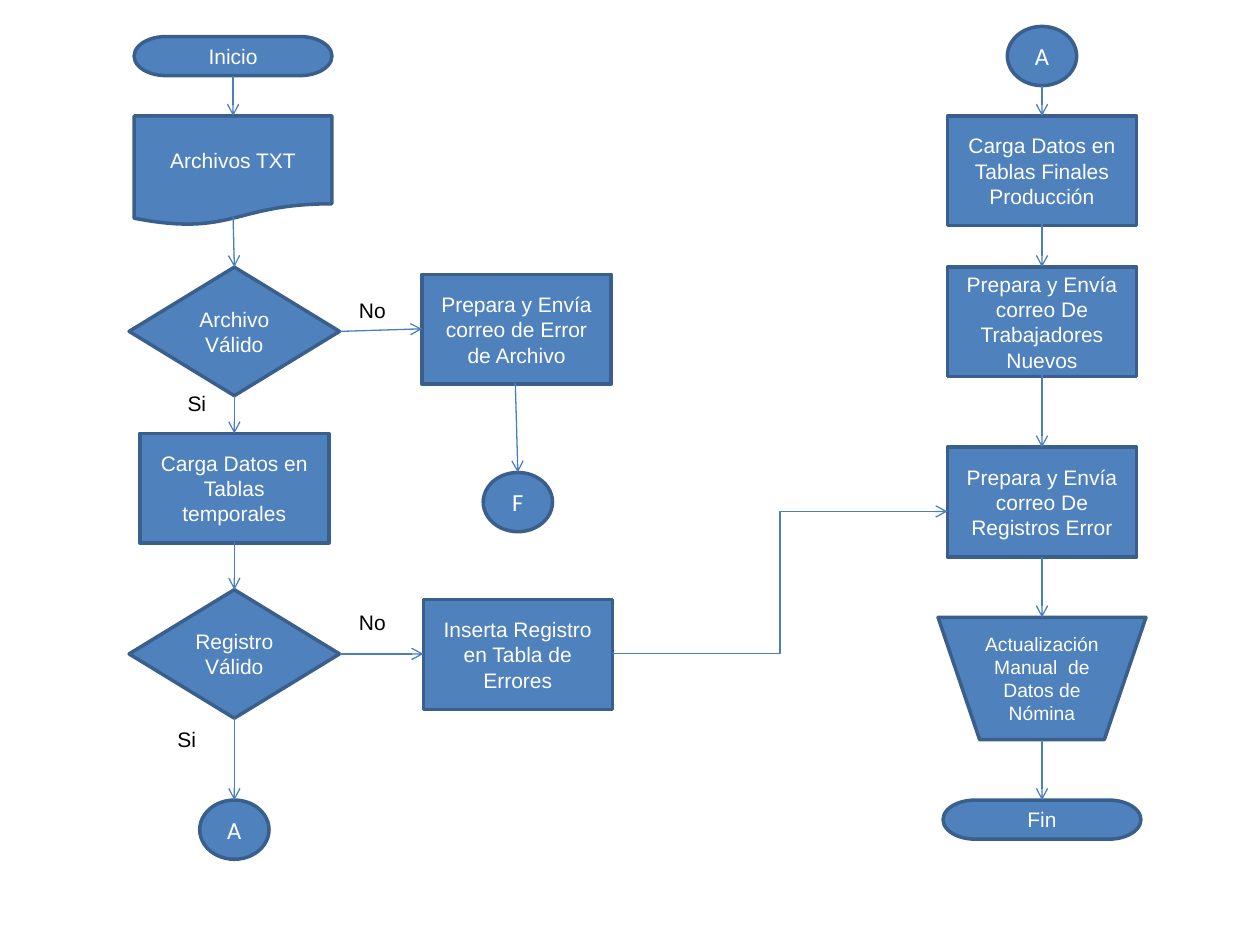
from typing import NamedTuple

from lxml import etree
from pptx import Presentation
from pptx import util as u
from pptx.dml.color import RGBColor
from pptx.enum import shapes, text
from pptx.oxml import ns

COLORS = {"fill": "4F81BD", "edge": "3A5F8C", "arrow": "4B7EBC",
          "light": "FFFFFF", "dark": "000000"}
LEFT, MID, RIGHT = 1.86, 4.11, 8.27  # column centres
FORM = shapes.MSO_SHAPE


class Kind(NamedTuple):
    form: shapes.MSO_SHAPE
    wide: float
    high: float
    size: int = 12
    font: str = "Arial"
    inset: float = 0.1


END = Kind(FORM.FLOWCHART_TERMINATOR, 1.57, 0.31)
DOC = Kind(FORM.FLOWCHART_DOCUMENT, 1.57, 0.87)
TEST = Kind(FORM.FLOWCHART_DECISION, 1.67, 1.02)
STEP = Kind(FORM.FLOWCHART_PROCESS, 1.5, 0.87)
HAND = Kind(FORM.FLOWCHART_MANUAL_OPERATION, 1.65, 0.97, size=11, inset=0.04)
LINK = Kind(FORM.OVAL, 0.55, 0.47, size=14, font="Calibri")


class Node(NamedTuple):
    kind: Kind
    mid: float
    top: float
    words: str


class Arrow(NamedTuple):
    x1: float
    y1: float
    x2: float
    y2: float
    bent: bool = False


class Label(NamedTuple):
    words: str
    left: float
    top: float
    wide: float


NODES = [
    Node(END, 1.85, 0.29, "Inicio"),
    Node(DOC, 1.85, 0.92, "Archivos TXT"),
    Node(TEST, LEFT, 2.12, "Archivo Válido"),
    Node(STEP, MID - 0.01, 2.18, "Prepara y Envía correo de Error de Archivo"),
    Node(STEP, LEFT, 3.44, "Carga Datos en Tablas temporales"),
    Node(TEST, LEFT, 4.68, "Registro\nVálido"),
    Node(STEP, MID, 4.76, "Inserta Registro en Tabla de Errores"),
    Node(LINK, MID, 3.75, "F"),
    Node(LINK, LEFT, 6.35, "A"),
    Node(LINK, RIGHT, 0.21, "A"),
    Node(STEP, RIGHT, 0.92, "Carga Datos en Tablas Finales Producción"),
    Node(STEP, RIGHT, 2.12, "Prepara y Envía correo De Trabajadores Nuevos"),
    Node(STEP, RIGHT, 3.55, "Prepara y Envía correo De Registros Error"),
    Node(HAND, RIGHT, 4.9, "Actualización Manual  de Datos de Nómina"),
    Node(END, RIGHT, 6.35, "Fin"),
]

DROPS = {  # vertical arrows: start and end heights by column
    LEFT: [(3.14, 3.44), (4.3, 4.68), (5.7, 6.35)],
    RIGHT: [(0.68, 0.92), (1.78, 2.12), (2.98, 3.55), (4.42, 4.9),
            (5.87, 6.35)],
}
ARROWS = [Arrow(x, y1, x, y2) for x, gaps in DROPS.items() for y1, y2 in gaps]
ARROWS += [
    Arrow(1.85, 0.6, 1.85, 0.92),
    Arrow(1.85, 1.72, LEFT, 2.12),
    Arrow(2.7, 2.63, 3.35, 2.61),
    Arrow(2.7, 5.19, 3.36, 5.19),
    Arrow(4.09, 3.04, MID, 3.75),
    Arrow(4.86, 5.19, 7.52, 4.06, bent=True),
]

LABELS = [
    Label("No", 2.75, 2.31, 0.55),
    Label("No", 2.75, 4.79, 0.55),
    Label("Si", 1.39, 3.05, 0.47),
    Label("Si", 1.31, 5.72, 0.47),
]


def tint(name: str) -> RGBColor:
    return RGBColor.from_string(COLORS[name])


def write(frame, words: str, size: int, font: str, color: str, align) -> None:
    """Fill a text frame, one paragraph for each line of words."""
    frame.word_wrap = True
    for i, line in enumerate(words.split("\n")):
        para = frame.add_paragraph() if i else frame.paragraphs[0]
        para.alignment = align
        run = para.add_run()
        run.text = line
        run.font.size = u.Pt(size)
        run.font.name = font
        run.font.color.rgb = tint(color)


def draw_node(slide, node: Node) -> None:
    kind = node.kind
    shape = slide.shapes.add_shape(
        kind.form, u.Inches(node.mid - kind.wide / 2), u.Inches(node.top),
        u.Inches(kind.wide), u.Inches(kind.high))
    shape.shadow.inherit = False
    shape.fill.solid()
    shape.fill.fore_color.rgb = tint("fill")
    shape.line.color.rgb = tint("edge")
    shape.line.width = u.Pt(2)
    frame = shape.text_frame
    frame.vertical_anchor = text.MSO_ANCHOR.MIDDLE
    frame.margin_left = frame.margin_right = u.Inches(kind.inset)
    write(frame, node.words, kind.size, kind.font, "light",
          text.PP_ALIGN.CENTER)


def draw_arrow(slide, arrow: Arrow) -> None:
    form = shapes.MSO_CONNECTOR
    line = slide.shapes.add_connector(
        form.ELBOW if arrow.bent else form.STRAIGHT,
        u.Inches(arrow.x1), u.Inches(arrow.y1),
        u.Inches(arrow.x2), u.Inches(arrow.y2))
    line.line.color.rgb = tint("arrow")
    line.line.width = u.Pt(0.75)
    props = line.line._get_or_add_ln()
    etree.SubElement(props, ns.qn("a:tailEnd"), type="arrow")
    etree.SubElement(props.getparent(), ns.qn("a:effectLst"))


def draw_label(slide, label: Label) -> None:
    box = slide.shapes.add_textbox(
        u.Inches(label.left), u.Inches(label.top),
        u.Inches(label.wide), u.Inches(0.3))
    box.text_frame.auto_size = text.MSO_AUTO_SIZE.SHAPE_TO_FIT_TEXT
    write(box.text_frame, label.words, 12, "Arial", "dark",
          text.PP_ALIGN.LEFT)


def main() -> None:
    deck = Presentation()
    deck.slide_width = u.Inches(10)
    deck.slide_height = u.Inches(7.5)
    slide = deck.slides.add_slide(deck.slide_layouts[6])
    for node in NODES:
        draw_node(slide, node)
    for arrow in ARROWS:
        draw_arrow(slide, arrow)
    for label in LABELS:
        draw_label(slide, label)
    deck.save("out.pptx")


if __name__ == "__main__":
    main()
